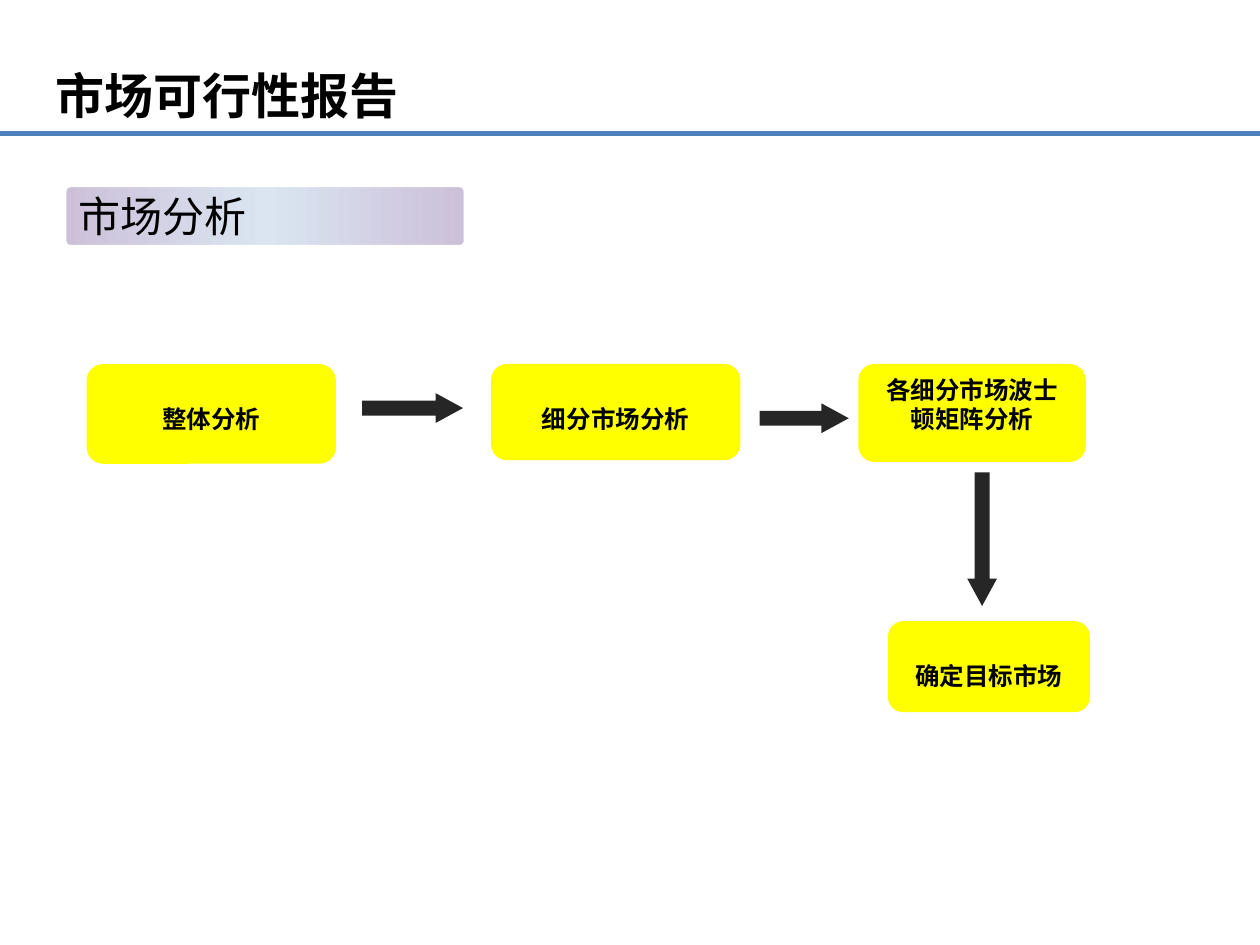
"""Build the market feasibility slide with its analysis flow."""
from copy import deepcopy

from pptx import Presentation
from pptx.dml.color import RGBColor
from pptx.enum.shapes import MSO_CONNECTOR, MSO_SHAPE
from pptx.enum.text import MSO_ANCHOR, PP_ALIGN
from pptx.oxml.ns import qn
from pptx.oxml.xmlchemy import OxmlElement
from pptx.util import Pt

BLACK = RGBColor(0x00, 0x00, 0x00)
WHITE = RGBColor(0xFF, 0xFF, 0xFF)
BLUE = RGBColor(0x4F, 0x81, 0xBD)
LILAC = RGBColor(0xCC, 0xC0, 0xD9)
PALE_BLUE = RGBColor(0xDA, 0xE5, 0xF1)
YELLOW = RGBColor(0xFF, 0xFF, 0x00)
CHARCOAL = RGBColor(0x26, 0x26, 0x26)


class FlowSlide:
    heading_font = "Noto Sans CJK SC"
    step_font = "Arial"

    def __init__(self, deck):
        self.slide = deck.slides.add_slide(deck.slide_layouts[5])
        self.shapes = self.slide.shapes

    def add_text(self, frame, text, font, size, bold=False, align=PP_ALIGN.LEFT):
        frame.word_wrap = True
        paragraph = frame.paragraphs[0]
        paragraph.alignment = align
        run = paragraph.add_run()
        run.text = text
        run.font.name = font
        run.font.size = Pt(size)
        run.font.bold = bold
        run.font.color.rgb = BLACK
        east_asian = OxmlElement("a:ea")
        east_asian.set("typeface", font)
        run.font._element.append(east_asian)

    def rule(self, y):
        rule = self.shapes.add_connector(
            MSO_CONNECTOR.STRAIGHT, Pt(0), Pt(y), Pt(720), Pt(y))
        rule.line.color.rgb = BLUE
        rule.line.width = Pt(2.5)
        rule._element.spPr.append(OxmlElement("a:effectLst"))

    def title(self, text, left, top, width, height):
        title = self.shapes.title
        title.left, title.top = Pt(left), Pt(top)
        title.width, title.height = Pt(width), Pt(height)
        title.text_frame.vertical_anchor = MSO_ANCHOR.MIDDLE
        self.add_text(title.text_frame, text, self.heading_font, 28, bold=True)

    def shape(self, kind, left, top, width, height):
        shape = self.shapes.add_shape(kind, Pt(left), Pt(top), Pt(width), Pt(height))
        shape.shadow.inherit = False
        shape.line.fill.background()
        return shape

    def banner(self, text, left, top, width, height):
        banner = self.shape(MSO_SHAPE.ROUNDED_RECTANGLE, left, top, width, height)
        banner.adjustments[0] = 0.09
        banner.line.color.rgb = WHITE
        banner.line.width = Pt(2)
        banner.fill.gradient()
        banner.fill.gradient_angle = 0
        edge, middle = banner.fill.gradient_stops
        edge.color.rgb, edge.position = LILAC, 0
        middle.color.rgb, middle.position = PALE_BLUE, 0.5
        stops = banner._element.spPr.find(".//" + qn("a:gsLst"))
        stops.append(deepcopy(stops[0]))
        banner.fill.gradient_stops[2].position = 1
        banner.text_frame.vertical_anchor = MSO_ANCHOR.MIDDLE
        self.add_text(banner.text_frame, text, self.heading_font, 24)

    def step(self, text, left, top, width, height, inset=20.2):
        step = self.shape(MSO_SHAPE.ROUNDED_RECTANGLE, left, top, width, height)
        step.fill.solid()
        step.fill.fore_color.rgb = YELLOW
        step.text_frame.vertical_anchor = MSO_ANCHOR.TOP
        step.text_frame.margin_top = Pt(inset)
        self.add_text(step.text_frame, text, self.step_font, 14, True, PP_ALIGN.CENTER)

    def arrow(self, left, top, length, rotation=0):
        arrow = self.shape(MSO_SHAPE.RIGHT_ARROW, left, top, length, 17)
        arrow.adjustments[1] = 0.92
        arrow.rotation = rotation
        arrow.fill.solid()
        arrow.fill.fore_color.rgb = CHARCOAL


def main():
    deck = Presentation()
    deck.slide_width, deck.slide_height = Pt(720), Pt(540)
    report = FlowSlide(deck)
    report.rule(76.3)
    report.title("市场可行性报告", 24.5, 21.6, 648, 64.8)
    report.banner("市场分析", 37, 106, 229, 35)

    row_top = 208
    report.step("整体分析", 49.5, row_top, 142.5, 57)
    report.step("细分市场分析", 280.6, row_top, 142.5, 55)
    report.step("各细分市场波士顿矩阵分析", 490.5, row_top, 130, 56, inset=3.6)
    report.step("确定目标市场", 507.5, 355, 115.3, 52)

    report.arrow(207, 224.7, 57.6)
    report.arrow(434, 230.5, 51)
    report.arrow(523, 299.6, 76.4, rotation=90)
    deck.save("out.pptx")


if __name__ == "__main__":
    main()
